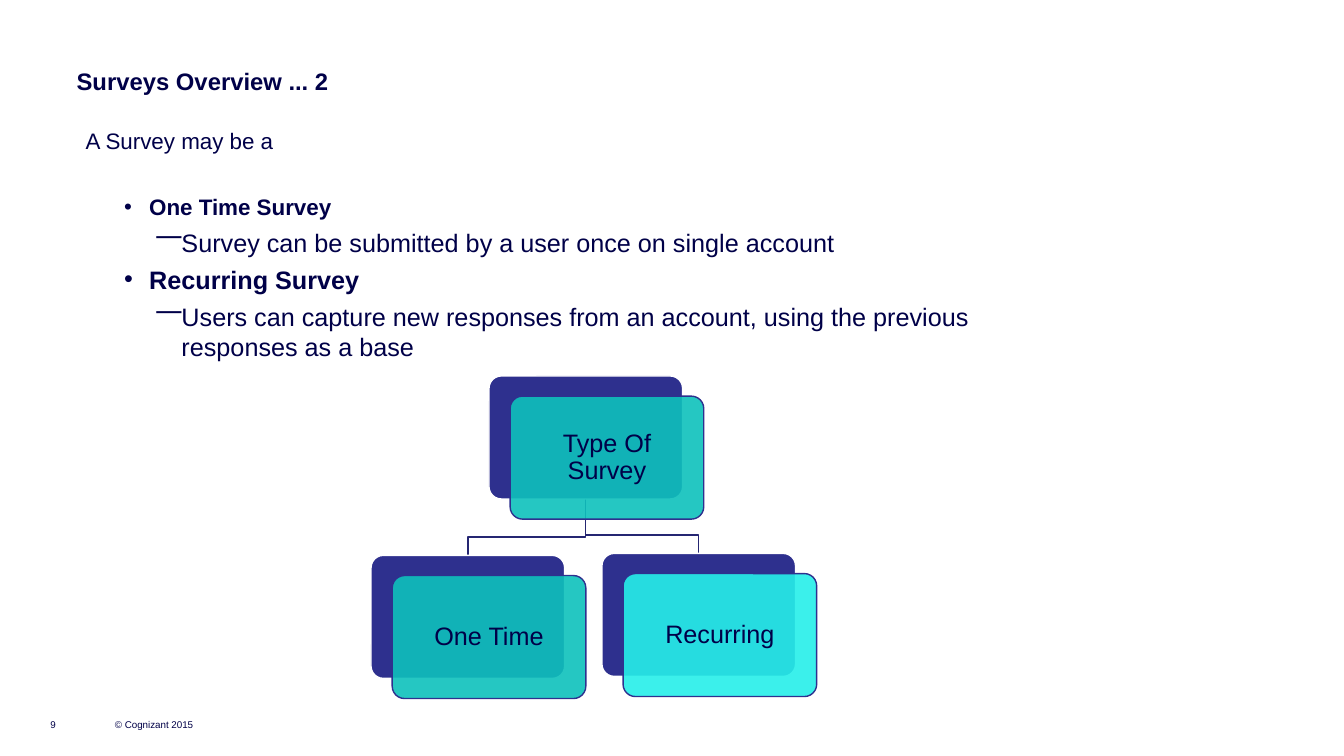
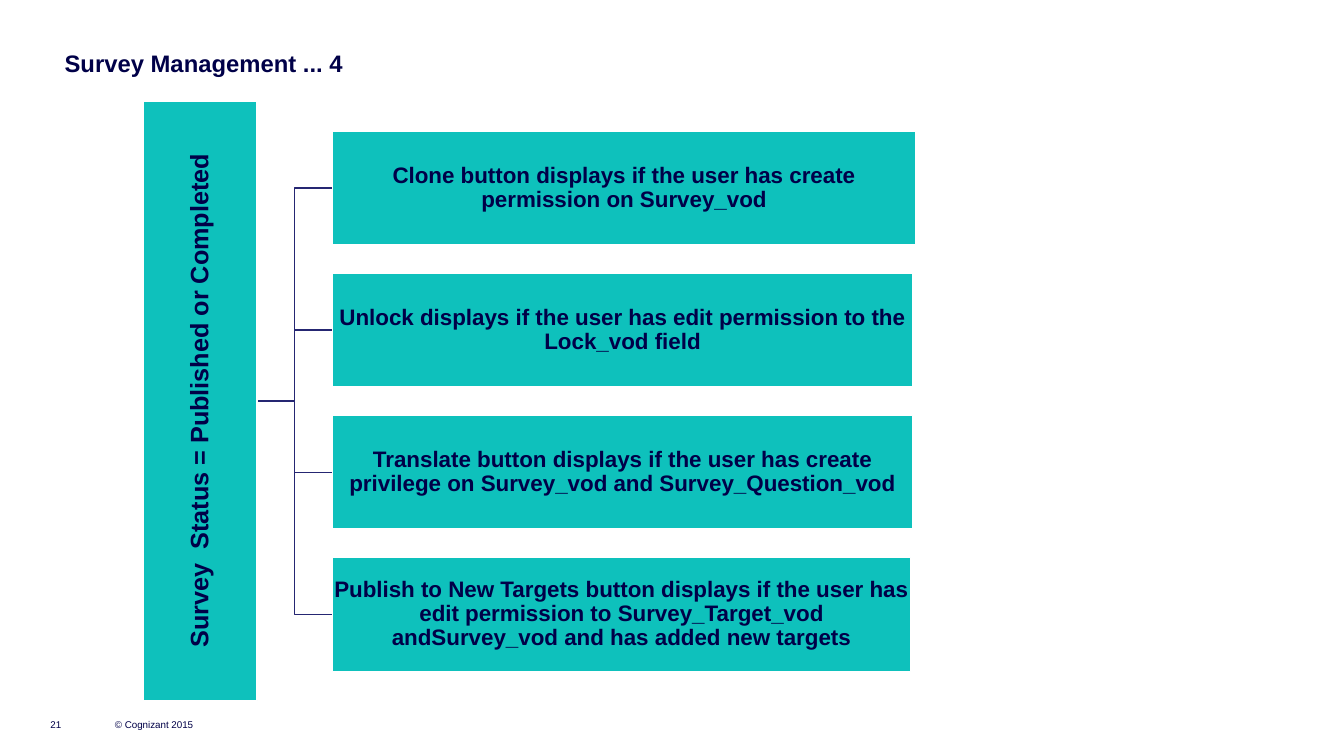
from pptx import Presentation
from pptx.dml.color import RGBColor
from pptx.enum import shapes, text
from pptx.oxml import ns
from pptx.util import Inches, Pt
from lxml import etree

FONT = "Arial"
INK = "000048"
TEAL = "0EC1BC"
AQUA = "26EFE9"
INDIGO = "2E308E"
LINK = "252672"
WHITE = "FFFFFF"

CARD_WIDTH, CARD_HEIGHT = 1.92, 1.22
BOX_HEIGHT = 1.13


def colour(value):
    return RGBColor.from_string(value)


def add_element(parent, tag, **attributes):
    return etree.SubElement(parent, ns.qn(tag), attributes)


def write(para, words, size=16, bold=False, align=text.PP_ALIGN.LEFT,
          before=0, spacing=None):
    para.text = words
    para.alignment = align
    para.space_before = Pt(before)
    if spacing:
        para.line_spacing = spacing
    para.font.name = FONT
    para.font.size = Pt(size)
    para.font.bold = bold
    para.font.color.rgb = colour(INK)


def set_frame(frame, inset, anchor, wrap=True):
    frame.word_wrap = wrap
    frame.vertical_anchor = anchor
    frame.margin_left = frame.margin_right = Inches(inset)
    frame.margin_top = frame.margin_bottom = Inches(inset)


def add_text_box(page, left, top, width, height,
                 anchor=text.MSO_ANCHOR.TOP, wrap=True):
    box = page.shapes.add_textbox(Inches(left), Inches(top),
                                  Inches(width), Inches(height))
    set_frame(box.text_frame, 0, anchor, wrap)
    return box.text_frame


def add_page(deck, heading, left, top, number):
    """Add a page with its title, page number and copyright line."""
    page = deck.slides.add_slide(deck.slide_layouts[5])
    title = page.shapes.title
    title.left, title.top = Inches(left), Inches(top)
    title.width, title.height = Inches(11.82), Inches(0.4)
    title.text_frame.vertical_anchor = text.MSO_ANCHOR.MIDDLE
    write(title.text_frame.paragraphs[0], heading, size=17, bold=True)
    for x, width, words in ((0.5, 0.39, number),
                            (1.14, 1.31, "© Cognizant 2015")):
        frame = add_text_box(page, x, 6.85, width, 0.4,
                             text.MSO_ANCHOR.BOTTOM, wrap=False)
        write(frame.paragraphs[0], words, size=7)
    return page


def set_bullet(para, symbol, left):
    properties = para._p.get_or_add_pPr()
    properties.set("marL", str(Inches(left)))
    properties.set("indent", str(Inches(-0.25)))
    add_element(properties, "a:buFont", typeface=FONT)
    add_element(properties, "a:buChar", char=symbol)


def add_panel(page, kind, left, top, width, height, fill, line):
    panel = page.shapes.add_shape(kind, Inches(left), Inches(top),
                                  Inches(width), Inches(height))
    panel.shadow.inherit = False
    panel.fill.solid()
    panel.fill.fore_color.rgb = colour(fill)
    panel.line.color.rgb = colour(line)
    panel.line.width = Pt(1)
    return panel


def label(panel, words, inset, **style):
    set_frame(panel.text_frame, inset, text.MSO_ANCHOR.MIDDLE)
    write(panel.text_frame.paragraphs[0], words,
          align=text.PP_ALIGN.CENTER, spacing=0.9, **style)


def add_link(page, points):
    """Draw an open line that bends at each of the points."""
    start, *others = [(Inches(x), Inches(y)) for x, y in points]
    builder = page.shapes.build_freeform(*start)
    builder.add_line_segments(others, close=False)
    link = builder.convert_to_shape()
    link.shadow.inherit = False
    link.fill.background()
    link.line.color.rgb = colour(LINK)
    link.line.width = Pt(1)


def add_card(page, left, top, words, fill):
    """Add a translucent labelled card over an offset backing card."""
    kind = shapes.MSO_SHAPE.ROUNDED_RECTANGLE
    size = CARD_WIDTH, CARD_HEIGHT
    back = add_panel(page, kind, left, top, *size, INDIGO, WHITE)
    front = add_panel(page, kind, left + 0.21, top + 0.2, *size, fill, INDIGO)
    for card in (back, front):
        card.adjustments[0] = 0.1
    shade = front.fill._xPr.find(".//" + ns.qn("a:srgbClr"))
    add_element(shade, "a:alpha", val="90000")
    label(front, words, 0.07, size=18)


def build_overview(deck):
    page = add_page(deck, "Surveys Overview ... 2", 0.66, 0.6, "9")
    frame = add_text_box(page, 0.85, 1.26, 9.72, 2.25)
    write(frame.paragraphs[0], "A Survey may be a")
    points = (
        ("•", 0.63, "One Time Survey", 16, 28),
        ("⎻", 0.95, "Survey can be submitted by a user once on single account",
         18, 5),
        ("•", 0.63, "Recurring Survey", 18, 5),
        ("⎻", 0.95, "Users can capture new responses from an account, using "
         "the previous responses as a base", 18, 5),
    )
    for symbol, left, words, size, before in points:
        para = frame.add_paragraph()
        set_bullet(para, symbol, left)
        write(para, words, size=size, bold=symbol == "•", before=before)

    root_left, root_top = 4.85, 3.73
    children = ((5.97, 5.49, "Recurring", AQUA), (3.68, 5.51, "One Time", TEAL))
    middle = root_left + CARD_WIDTH / 2
    for left, top, _, _ in children:
        centre, bend = left + CARD_WIDTH / 2, top - 0.18
        add_link(page, ((middle, root_top + CARD_HEIGHT), (middle, bend),
                        (centre, bend), (centre, top)))
    add_card(page, root_left, root_top, "Type Of Survey", TEAL)
    for child in children:
        add_card(page, *child)


def build_management(deck):
    page = add_page(deck, "Survey Management ... 4", 0.54, 0.42, "21")
    rules = (
        ("Clone button displays if the user has create permission on "
         "Survey_vod", 5.78),
        ("Unlock displays if the user has edit permission to the Lock_vod "
         "field", 5.75),
        ("Translate button displays if the user has create privilege on "
         "Survey_vod and Survey_Question_vod", 5.75),
        ("Publish to New Targets button displays if the user has edit "
         "permission to Survey_Target_vod andSurvey_vod and has added new "
         "targets", 5.73),
    )
    kind = shapes.MSO_SHAPE.RECTANGLE
    left, first_top, pitch = 3.3, 1.3, 1.41
    bar_right, bar_middle, bend = 2.55, 3.98, 2.92
    tops = [first_top + pitch * row for row in range(len(rules))]
    for top in tops:
        middle = top + BOX_HEIGHT / 2
        add_link(page, ((bar_right, bar_middle), (bend, bar_middle),
                        (bend, middle), (left, middle)))
    bar = add_panel(page, kind, -0.99, 3.41, 5.95, BOX_HEIGHT, TEAL, WHITE)
    bar.rotation = 270
    label(bar, "Survey  Status = Published or Completed", 0.01,
          size=18, bold=True)
    for top, (words, width) in zip(tops, rules):
        box = add_panel(page, kind, left, top, width, BOX_HEIGHT, TEAL, WHITE)
        label(box, words, 0.01, bold=True)


def main():
    deck = Presentation()
    deck.slide_width, deck.slide_height = Inches(13.33), Inches(7.5)
    build_overview(deck)
    build_management(deck)
    deck.save("out.pptx")


if __name__ == "__main__":
    main()
